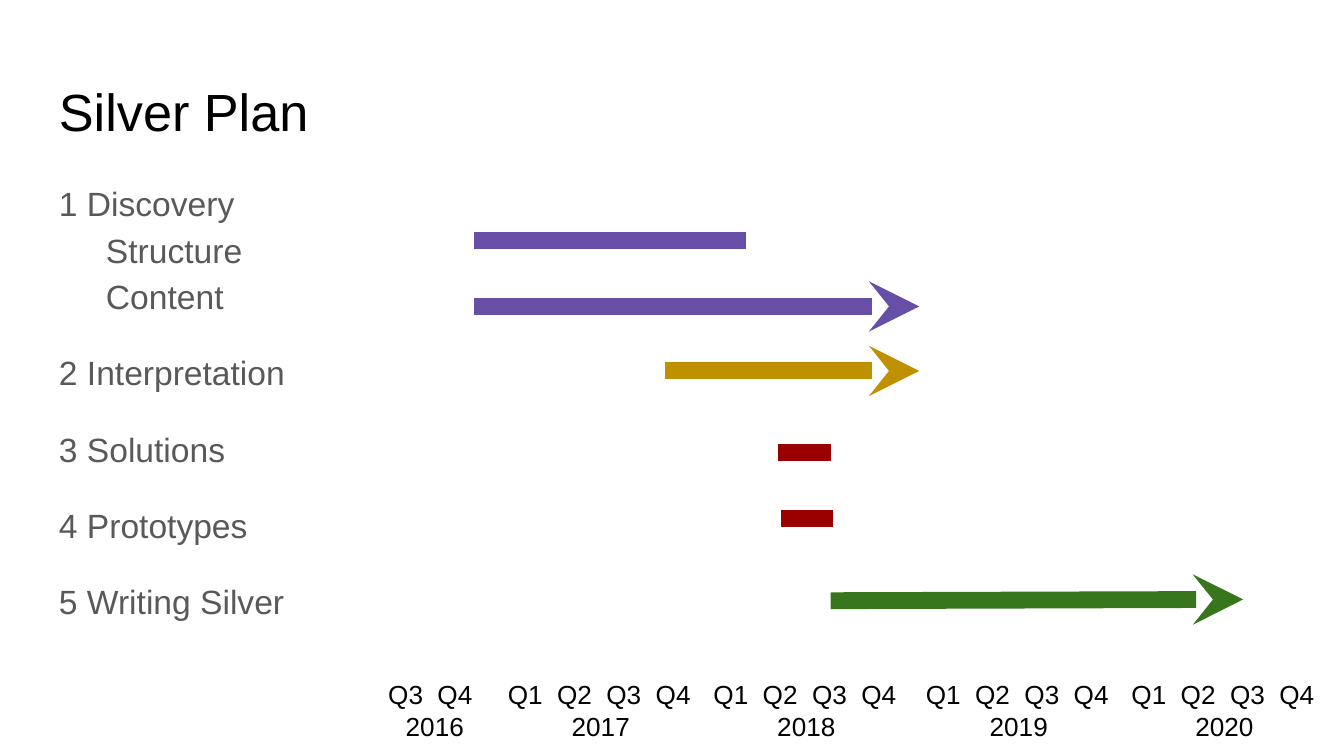
from lxml.etree import SubElement
from pptx import Presentation
from pptx.dml.color import RGBColor
from pptx.enum.shapes import MSO_CONNECTOR
from pptx.enum.text import PP_ALIGN
from pptx.oxml.ns import qn
from pptx.util import Inches, Pt

PURPLE, GOLD, RED, GREEN = "674EA7", "BF9000", "990000", "38761D"

STEPS = [
    ("1 Discovery\vStructure\vContent", 0.35, 0),
    ("2 Interpretation", 0, 16),
    ("3 Solutions", 0, 16),
    ("4 Prototypes", 0, 16),
    ("5 Writing Silver", 0, 16),
]
YEARS = [
    (2017, 3.68, 1.58, 1),
    (2016, 2.79, 0.89, 3),
    (2018, 5.21, 1.58, 1),
    (2019, 6.79, 1.58, 1),
    (2020, 8.32, 1.58, 1),
]
BARS = [
    (3.53, 5.55, 1.79, 1.79, PURPLE, False),
    (3.53, 6.84, 2.28, 2.28, PURPLE, True),
    (4.95, 6.84, 2.76, 2.76, GOLD, True),
    (5.79, 6.18, 3.37, 3.37, RED, False),
    (5.81, 6.2, 3.86, 3.86, RED, False),
    (6.18, 9.25, 4.47, 4.46, GREEN, True),
]


def color(code):
    return RGBColor.from_string(code)


def add_box(slide, left, top, width, height):
    box = slide.shapes.add_textbox(
        Inches(left), Inches(top), Inches(width), Inches(height))
    frame = box.text_frame
    frame.word_wrap = True
    frame.margin_left = frame.margin_right = Inches(0.1)
    frame.margin_top = frame.margin_bottom = Inches(0.1)
    return frame


def add_hang(para, width):
    props = para._p.get_or_add_pPr()
    props.set("marL", str(Inches(width)))
    props.set("indent", str(-Inches(width)))


def add_tabs(para, step, count):
    tabs = SubElement(para._p.get_or_add_pPr(), qn("a:tabLst"))
    for i in range(1, count + 1):
        SubElement(tabs, qn("a:tab"), pos=str(Inches(step * i)), algn="l")


def add_text(frame, text, size=18, ink="000000", align=PP_ALIGN.LEFT,
             hang=0, before=0, spacing=None, tabs=0):
    first = frame.paragraphs[0]
    para = frame.add_paragraph() if first.runs else first
    para.text = text
    if hang:
        add_hang(para, hang)
    if tabs:
        add_tabs(para, 1.1 / 3, tabs)
    para.alignment = align
    if before:
        para.space_before = Pt(before)
    if spacing:
        para.line_spacing = spacing
    for run in para.runs:
        run.font.name = "Arial"
        run.font.size = Pt(size)
        run.font.color.rgb = color(ink)


def add_year(slide, year, left, width, start):
    frame = add_box(slide, left, 4.95, width, 0.63)
    names = [f"Q{n}" for n in range(start, 5)]
    add_text(frame, "\t".join(names), size=14, tabs=len(names) - 1)
    add_text(frame, str(year), size=14, align=PP_ALIGN.CENTER)


def add_bar(slide, start, end, top, low, ink, arrow):
    bar = slide.shapes.add_connector(
        MSO_CONNECTOR.STRAIGHT,
        Inches(start), Inches(top), Inches(end), Inches(low))
    bar.line.color.rgb = color(ink)
    bar.line.width = Pt(9)
    if arrow:
        SubElement(bar.line._get_or_add_ln(), qn("a:tailEnd"), type="stealth")
    SubElement(bar._element.spPr, qn("a:effectLst"))


def main():
    deck = Presentation()
    deck.slide_width = Inches(10)
    deck.slide_height = deck.slide_width * 9 // 16
    slide = deck.slides.add_slide(deck.slide_layouts[6])
    add_text(add_box(slide, 0.34, 0.49, 9.32, 0.63), "Silver Plan", size=28)
    plan = add_box(slide, 0.34, 1.22, 9.32, 3.74)
    for text, hang, before in STEPS:
        add_text(plan, text, ink="595959", hang=hang, before=before,
                 spacing=1.15)
    for year in YEARS:
        add_year(slide, *year)
    for bar in BARS:
        add_bar(slide, *bar)
    deck.save("out.pptx")


if __name__ == "__main__":
    main()
